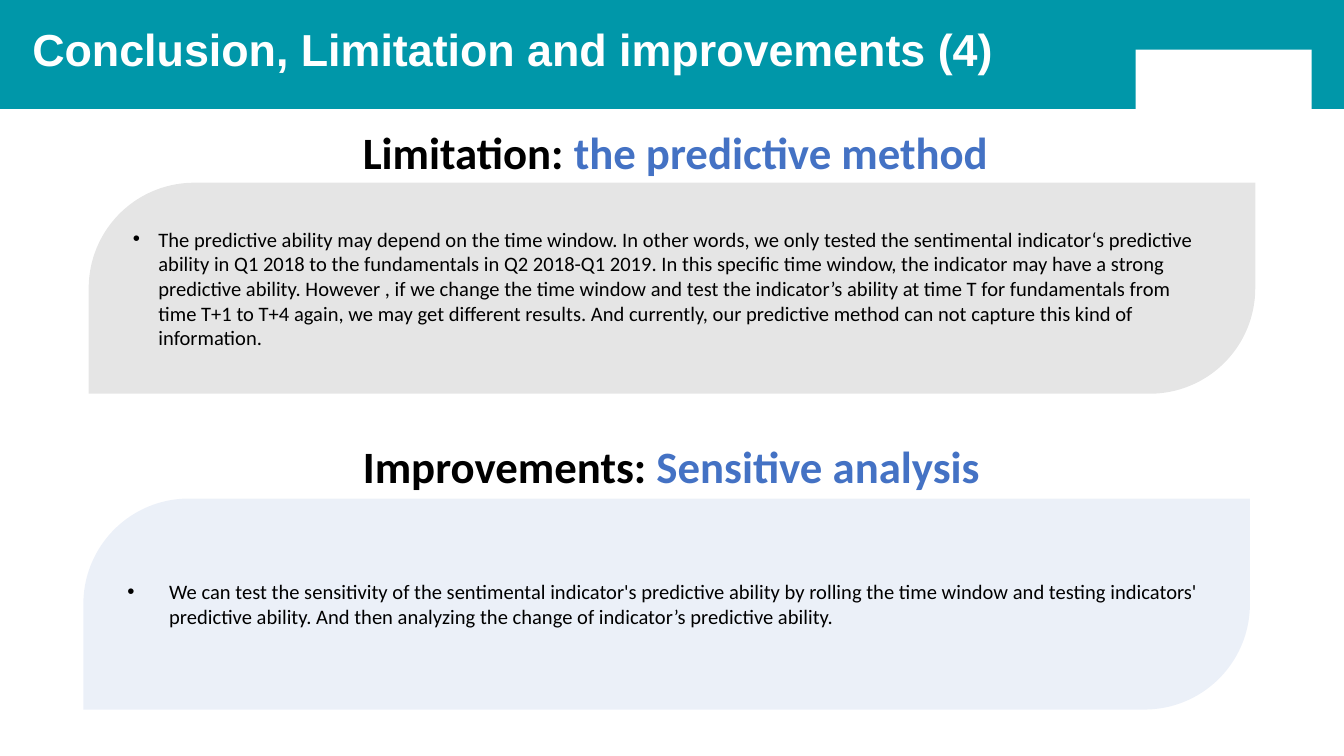
from dataclasses import dataclass

from lxml.etree import SubElement
from pptx import Presentation
from pptx.dml.color import RGBColor
from pptx.enum.shapes import MSO_SHAPE as Shape
from pptx.enum.text import MSO_ANCHOR as Anchor, PP_ALIGN as Align
from pptx.oxml.ns import qn
from pptx.util import Inches, Pt

TEAL = RGBColor(0x00, 0x97, 0xA9)
WHITE = RGBColor(0xFF, 0xFF, 0xFF)
BLACK = RGBColor(0x00, 0x00, 0x00)
BLUE = RGBColor(0x44, 0x72, 0xC4)

PANEL_W, PANEL_H = 8.68, 1.57
HEADING_W, HEADING_H = 6.19, 0.55


@dataclass
class Section:
    """A two-coloured heading above a rounded panel with one bullet."""
    label: str
    topic: str
    heading_left: float
    heading_top: float
    panel_left: float
    panel_top: float
    tint: RGBColor
    indent: float
    body: str


SECTIONS = [
    Section("Limitation: ", "the predictive method", 1.93, 0.83, 0.66, 1.36, BLACK, 0.19,
            "The predictive ability may depend on the time window. In other words, we only "
            "tested the sentimental indicator‘s predictive ability in Q1 2018 to the "
            "fundamentals in Q2 2018-Q1 2019. In this specific time window, the indicator may "
            "have a strong predictive ability. However , if we change the time window and test "
            "the indicator’s ability at time T for fundamentals from time T+1 to T+4 again, we "
            "may get different results. And currently, our predictive method can not capture "
            "this kind of information."),
    Section("Improvements: ", "Sensitive analysis", 1.9, 3.16, 0.62, 3.71, BLUE, 0.31,
            "We can test the sensitivity of the sentimental indicator's predictive ability by "
            "rolling the time window and testing indicators' predictive ability. And then "
            "analyzing the change of indicator’s predictive ability."),
]


def add_run(p, text: str, size: float, color: RGBColor, bold: bool = False,
            font: str = "Calibri") -> None:
    """Append a formatted run to a paragraph."""
    r = p.add_run()
    r.text = text
    r.font.name, r.font.size, r.font.bold = font, Pt(size), bold
    r.font.color.rgb = color


def add_plain(s, kind: Shape, left: float, top: float, width: float, height: float,
              color: RGBColor):
    """Add a filled shape without line or shadow."""
    sp = s.shapes.add_shape(kind, Inches(left), Inches(top), Inches(width), Inches(height))
    sp.shadow.inherit = False
    sp.fill.solid()
    sp.fill.fore_color.rgb = color
    sp.line.fill.background()
    return sp


def set_alpha(sp, percent: int) -> None:
    """Set the opacity of a solid fill."""
    color = sp._element.spPr.find(qn("a:solidFill"))[0]
    SubElement(color, qn("a:alpha")).set("val", str(percent * 1000))


def set_bullet(p, indent: float) -> None:
    """Give a paragraph a round bullet with a hanging indent."""
    pPr = p._p.get_or_add_pPr()
    pPr.set("marL", str(Inches(indent)))
    pPr.set("indent", str(-Inches(indent)))
    SubElement(pPr, qn("a:buFont")).set("typeface", "Arial")
    SubElement(pPr, qn("a:buChar")).set("char", "•")


def add_banner(s) -> None:
    """Draw the top band with a plain block at its right, behind the title."""
    band = add_plain(s, Shape.RECTANGLE, 0, 0, 10, 0.81, TEAL)
    block = add_plain(s, Shape.RECTANGLE, 8.45, 0.37, 1.31, 0.45, WHITE)
    for i, sp in enumerate((band, block)):
        s.shapes._spTree.insert(2 + i, sp._element)


def add_title(s, text: str) -> None:
    """Place and fill the title placeholder."""
    sp = s.shapes.title
    sp.left, sp.top, sp.width, sp.height = (Inches(v) for v in (0.24, 0.24, 8.34, 0.32))
    tf = sp.text_frame
    tf.margin_left = tf.margin_right = tf.margin_top = tf.margin_bottom = 0
    tf.vertical_anchor, tf.word_wrap = Anchor.TOP, True
    p = tf.paragraphs[0]
    p.alignment, p.line_spacing = Align.LEFT, 0.8
    add_run(p, text, 24, WHITE, True, "Arial")


def add_section(s, section: Section) -> None:
    """Draw one panel with its bullet and heading."""
    sp = add_plain(s, Shape.ROUND_2_DIAG_RECTANGLE, section.panel_left, section.panel_top,
                   PANEL_W, PANEL_H, section.tint)
    sp.adjustments[0], sp.adjustments[1] = 0.5, 0
    set_alpha(sp, 10)
    tf = sp.text_frame
    tf.vertical_anchor, tf.word_wrap = Anchor.MIDDLE, True
    p = tf.paragraphs[0]
    p.alignment = Align.LEFT
    set_bullet(p, section.indent)
    add_run(p, section.body, 11, BLACK)

    box = s.shapes.add_textbox(Inches(section.heading_left), Inches(section.heading_top),
                               Inches(HEADING_W), Inches(HEADING_H))
    tf = box.text_frame
    tf.vertical_anchor, tf.word_wrap = Anchor.BOTTOM, True
    p = tf.paragraphs[0]
    p.alignment, p.line_spacing = Align.CENTER, 1.2
    add_run(p, section.label, 24, BLACK, True)
    add_run(p, section.topic, 24, BLUE, True)


def main() -> None:
    """Build the slide and save it."""
    prs = Presentation()
    prs.slide_width = Inches(10)
    prs.slide_height = prs.slide_width * 9 // 16
    s = prs.slides.add_slide(prs.slide_layouts[5])
    add_banner(s)
    add_title(s, "Conclusion, Limitation and improvements (4)")
    for section in SECTIONS:
        add_section(s, section)
    prs.save("out.pptx")


main()
